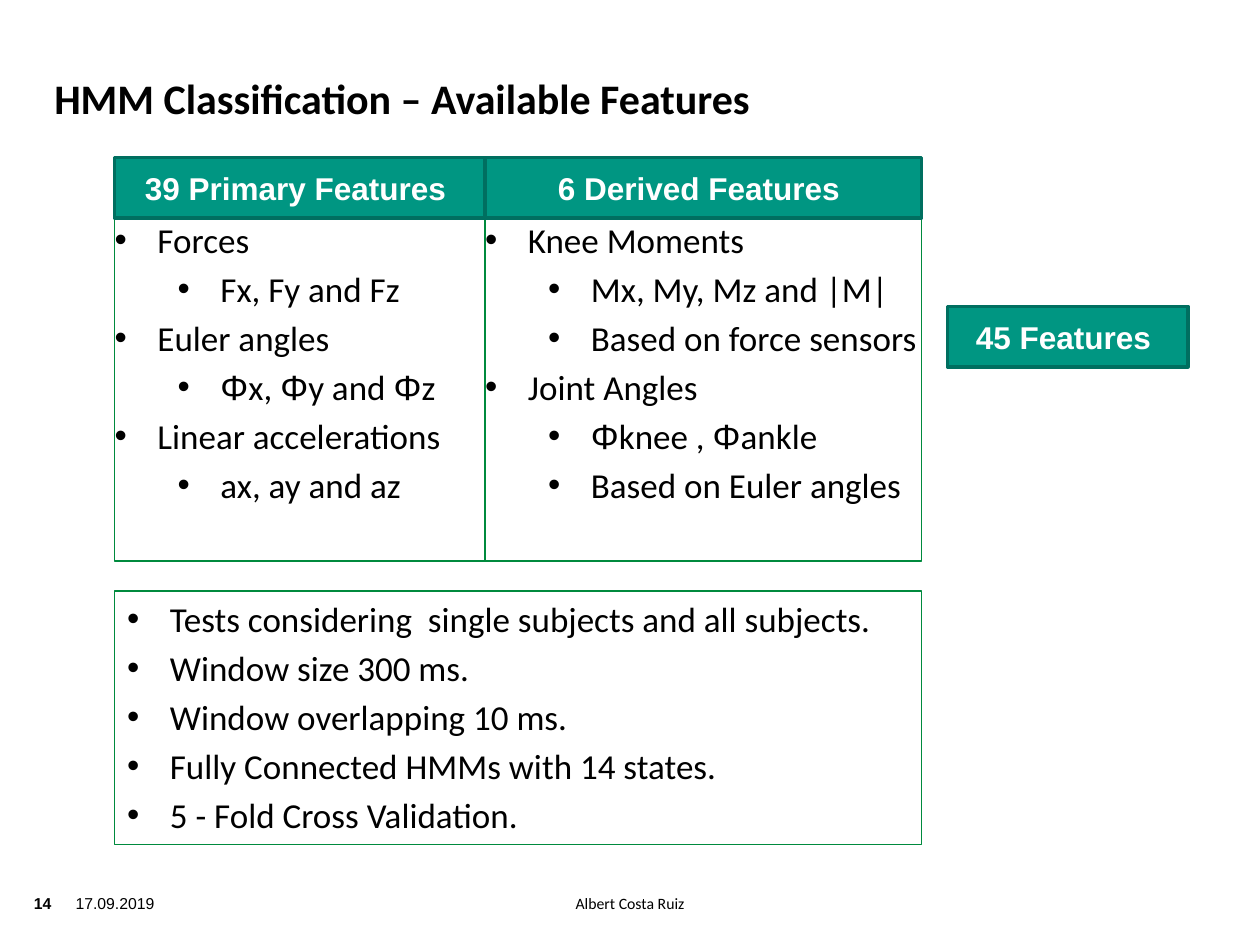
"""Build the slide on the features available for HMM classification."""
from itertools import groupby

from lxml.etree import SubElement
from pptx import Presentation
from pptx.dml.color import RGBColor
from pptx.enum.shapes import MSO_SHAPE
from pptx.enum.text import MSO_ANCHOR, PP_ALIGN
from pptx.oxml.ns import qn
from pptx.util import Pt

HUES = {"ink": "000000", "white": "FFFFFF", "teal": "009682",
        "edge": "006F60", "green": "008A3E"}


def add_box(area, inset, fill=None, line=None, width=0.75):
    box = slide.shapes.add_shape(MSO_SHAPE.RECTANGLE, *map(Pt, area))
    box.shadow.inherit = False
    if fill:
        box.fill.solid()
        box.fill.fore_color.rgb = RGBColor.from_string(HUES[fill])
    else:
        box.fill.background()
    if line:
        box.line.color.rgb = RGBColor.from_string(HUES[line])
        box.line.width = Pt(width)
    else:
        box.line.fill.background()
    frame = box.text_frame
    frame.word_wrap = True
    frame.vertical_anchor = MSO_ANCHOR.TOP
    frame.margin_left = frame.margin_right = Pt(inset)
    frame.margin_top = frame.margin_bottom = Pt(inset / 2)
    return frame


def add_text(para, text, size, font, hue="ink", bold=False, align=PP_ALIGN.LEFT):
    para.alignment = align
    for greek, chars in groupby(text, lambda char: char == "Φ"):
        run = para.add_run()
        run.text = "".join(chars)
        run.font.size = Pt(size)
        run.font.name = "Arial" if greek else font
        run.font.bold = bold
        run.font.color.rgb = RGBColor.from_string(HUES[hue])


deck = Presentation()
deck.slide_width, deck.slide_height = Pt(720), Pt(540)
slide = deck.slides.add_slide(deck.slide_layouts[6])

title = add_box((31, 26, 544, 44), 0)
title.vertical_anchor = MSO_ANCHOR.BOTTOM
add_text(title.paragraphs[0], "HMM Classification – Available Features",
         24, "Calibri", bold=True)

left, split, right = 65.5, 277.2, 526.6
top, head = 90, 34.6
lists = [
    ((split, top + head, right - split, 196), 0,
     [(0, "Knee Moments"), (1, "Mx, My, Mz and |M|"),
      (1, "Based on force sensors"), (0, "Joint Angles"),
      (1, "Φknee , Φankle"), (1, "Based on Euler angles")]),
    ((left, top + head, split - left, 196), 0,
     [(0, "Forces"), (1, "Fx, Fy and Fz"),
      (0, "Euler angles"), (1, "Φx, Φy and Φz"),
      (0, "Linear accelerations"), (1, "ax, ay and az")]),
    ((left, 337.7, right - left, 145), 7.2,
     [(0, "Tests considering  single subjects and all subjects."),
      (0, "Window size 300 ms."), (0, "Window overlapping 10 ms."),
      (0, "Fully Connected HMMs with 14 states."),
      (0, "5 - Fold Cross Validation.")]),
]
for area, inset, items in lists:
    frame = add_box(area, inset, line="green")
    for num, (level, text) in enumerate(items):
        para = frame.add_paragraph() if num else frame.paragraphs[0]
        para.level = level
        para.space_before = Pt(4)
        props = para._p.get_or_add_pPr()
        props.set("marL", str(Pt(24.5 + 36 * level)))
        props.set("indent", str(Pt(-24.5)))
        SubElement(props, qn("a:buFont")).set("typeface", "Arial")
        SubElement(props, qn("a:buChar")).set("char", "•")
        add_text(para, text, 20, "Calibri")

labels = [
    (split, top, right - split, "6 Derived Features "),
    (left, top, split - left, "39 Primary Features "),
    (541.4, 175, 137.5, "45 Features "),
]
for x, y, wide, text in labels:
    frame = add_box((x, y, wide, head), 7.2, "teal", "edge", 2)
    frame.vertical_anchor = MSO_ANCHOR.MIDDLE
    add_text(frame.paragraphs[0], text, 18, "Arial", "white", True, PP_ALIGN.CENTER)

page = add_box((19.4, 510.5, 25, 16.5), 0).paragraphs[0]
page.space_before = Pt(4.5)
add_text(page, "14", 9, "Arial", bold=True)
date = add_box((43.2, 510.5, 67.7, 28), 0).paragraphs[0]
add_text(date, "17.09.2019", 9, "Arial")
name = add_box((118.8, 508.3, 482.4, 28), 7.2).paragraphs[0]
name.line_spacing = 0.9
add_text(name, "Albert Costa Ruiz", 9, "Calibri", align=PP_ALIGN.CENTER)

deck.save("out.pptx")
